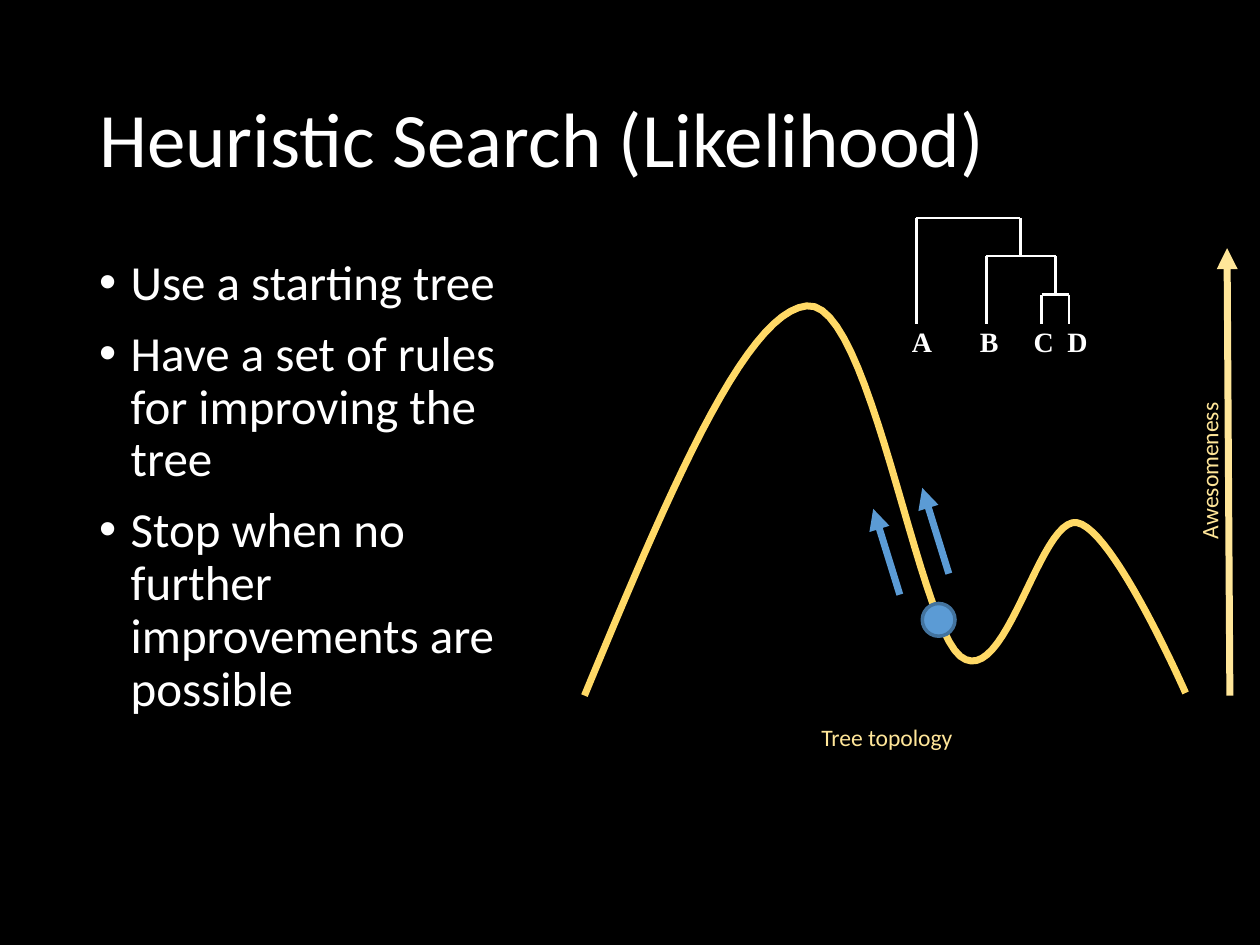
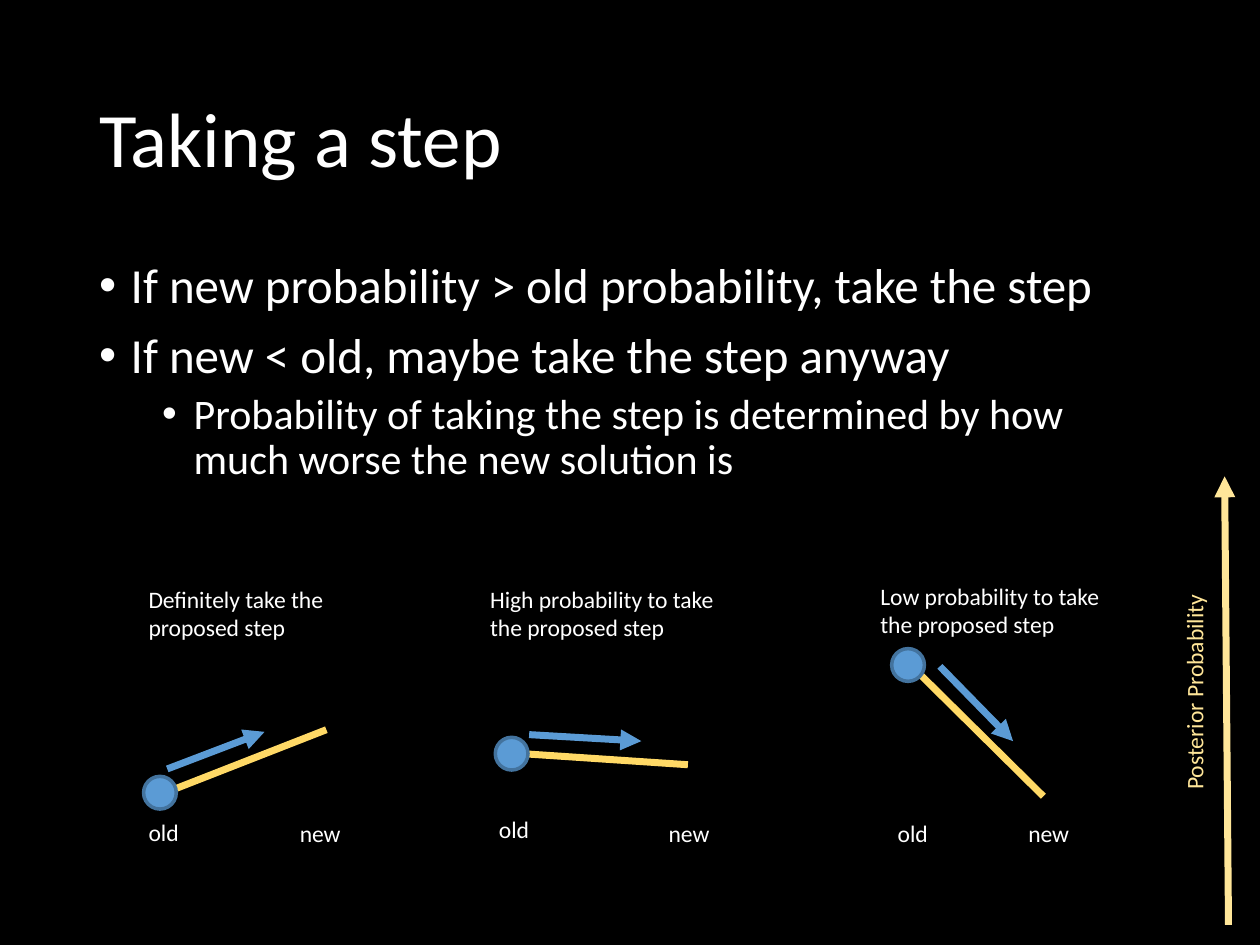
"""Build two slides on heuristic tree search and accepting a step."""
from lxml import etree
from pptx import Presentation
from pptx import util as u
from pptx.dml.color import RGBColor
from pptx.enum import shapes, text
from pptx.oxml import ns

Pt = u.Pt
BLACK = RGBColor(0x00, 0x00, 0x00)
WHITE = RGBColor(0xFF, 0xFF, 0xFF)
GOLD = RGBColor(0xFF, 0xD9, 0x66)
PALE_GOLD = RGBColor(0xFF, 0xE6, 0x99)
BLUE = RGBColor(0x5B, 0x9B, 0xD5)
DARK_BLUE = RGBColor(0x43, 0x73, 0x9E)

TITLE_AREA = (49.5, 29, 621, 104.5)
TITLE = {"name": "Calibri", "size": Pt(44)}
LABEL = {"name": "Calibri", "size": Pt(13.5)}
TIP = {"name": "Times New Roman", "size": Pt(16), "bold": True}
LEVELS = [
    {"size": 28, "before": 10, "indent": 18},
    {"size": 24, "before": 5, "indent": 54},
]
HANGING = 18
THICK, THIN = 4, 1.5
BALL_SIZE = 18.7
LABEL_HEIGHT = 24


def assign(target, values):
    for name, value in values.items():
        setattr(target, name, value)


def add_element(parent, tag, **attributes):
    return etree.SubElement(parent, ns.qn(tag), attributes)


def bezier(start, first, second, end, steps=24):
    for step in range(1, steps + 1):
        t = step / steps
        weights = ((1 - t) ** 3, 3 * t * (1 - t) ** 2, 3 * t * t * (1 - t), t ** 3)
        yield tuple(
            Pt(sum(w * value for w, value in zip(weights, axis)))
            for axis in zip(start, first, second, end)
        )


class Sketch:
    """Hold the deck style and draw elements on the current slide."""

    def __init__(self):
        self.deck = Presentation()
        assign(self.deck, {"slide_width": Pt(720), "slide_height": Pt(540)})
        fill = self.deck.slide_master.background.fill
        fill.solid()
        fill.fore_color.rgb = BLACK
        self.page = None

    def span(self, para, wording, look, color):
        span = para.add_run()
        span.text = wording
        assign(span.font, look)
        span.font.color.rgb = color

    def place(self, box, area):
        assign(box, dict(zip(("left", "top", "width", "height"), map(Pt, area))))

    def new_page(self, title):
        self.page = self.deck.slides.add_slide(self.deck.slide_layouts[1])
        box = self.page.shapes.title
        self.place(box, TITLE_AREA)
        assign(box.text_frame, {
            "vertical_anchor": text.MSO_ANCHOR.MIDDLE,
            "auto_size": text.MSO_AUTO_SIZE.NONE,
        })
        para = box.text_frame.paragraphs[0]
        assign(para, {"alignment": text.PP_ALIGN.LEFT, "line_spacing": 0.9})
        self.span(para, title, TITLE, WHITE)

    def bullets(self, area, items):
        box = self.page.placeholders[1]
        self.place(box, area)
        frame = box.text_frame
        frame.auto_size = text.MSO_AUTO_SIZE.NONE
        for index, (level, wording) in enumerate(items):
            para = frame.add_paragraph() if index else frame.paragraphs[0]
            style = LEVELS[level]
            assign(para, {
                "level": level,
                "line_spacing": 0.9,
                "space_before": Pt(style["before"] if index else 0),
            })
            properties = para._p.get_or_add_pPr()
            properties.set("marL", str(Pt(style["indent"])))
            properties.set("indent", str(-Pt(HANGING)))
            add_element(properties, "a:buFont", typeface="Arial")
            add_element(properties, "a:buChar", char="•")
            self.span(para, wording, {"name": "Calibri", "size": Pt(style["size"])}, WHITE)

    def label(self, wording, area, color=WHITE, look=LABEL, align=text.PP_ALIGN.LEFT,
              rotation=0, tabs=()):
        box = self.page.shapes.add_textbox(*map(Pt, area))
        box.rotation = rotation
        box.text_frame.word_wrap = not rotation
        para = box.text_frame.paragraphs[0]
        para.alignment = align
        if tabs:
            stops = add_element(para._p.get_or_add_pPr(), "a:tabLst")
            for stop in tabs:
                add_element(stops, "a:tab", pos=str(Pt(stop)), algn="l")
        self.span(para, wording, look, color)

    def line(self, ends, color, width=THICK, arrow=False):
        line = self.page.shapes.add_connector(
            shapes.MSO_CONNECTOR.STRAIGHT, *map(Pt, ends))
        line.line.color.rgb = color
        line.line.width = Pt(width)
        if arrow:
            add_element(line.line._get_or_add_ln(), "a:tailEnd", type="triangle")
        add_element(line._element.spPr, "a:effectLst")

    def ball(self, x, y):
        ball = self.page.shapes.add_shape(
            shapes.MSO_SHAPE.OVAL, Pt(x - BALL_SIZE / 2), Pt(y - BALL_SIZE / 2),
            Pt(BALL_SIZE), Pt(BALL_SIZE))
        ball.shadow.inherit = False
        ball.fill.solid()
        ball.fill.fore_color.rgb = BLUE
        ball.line.color.rgb = DARK_BLUE
        ball.line.width = Pt(2)

    def curve(self, start, pieces):
        builder = self.page.shapes.build_freeform(*map(Pt, start))
        for first, second, end in pieces:
            builder.add_line_segments(bezier(start, first, second, end), close=False)
            start = end
        curve = builder.convert_to_shape()
        curve.shadow.inherit = False
        curve.fill.background()
        curve.line.color.rgb = GOLD
        curve.line.width = Pt(THICK)

    def axis(self, ends, wording, area):
        self.line(ends, PALE_GOLD, arrow=True)
        self.label(wording, area, PALE_GOLD, rotation=270)

    def clade(self, left, right, top, left_end, right_end):
        for ends in ((left, top, left, left_end), (left, top, right, top),
                     (right, top, right, right_end)):
            self.line(ends, WHITE, THIN)


def draw_search(sketch):
    sketch.new_page("Heuristic Search (Likelihood)")
    sketch.bullets((49.5, 144, 258.5, 343), [
        (0, "Use a starting tree"),
        (0, "Have a set of rules for improving the tree"),
        (0, "Stop when no further improvements are possible"),
    ])
    sketch.curve((334, 397.5), [
        ((379.5, 288), (425, 178.5), (461, 174.8)),
        ((497, 170.6), (523.5, 354), (548.7, 375)),
        ((574.5, 395.5), (594, 295), (615.5, 298.7)),
        ((636.5, 302.5), (677.5, 396), (677.5, 396)),
    ])
    sketch.ball(536.4, 354.2)
    for ends in ((542.2, 327.8, 527, 278.8), (514.2, 339.8, 499, 290.8)):
        sketch.line(ends, BLUE, arrow=True)
    sketch.axis((702.8, 397.5, 701.2, 141.8), "Awesomeness", (644.4, 256.3, 93.6, LABEL_HEIGHT))
    tips = 185
    for clade in ((523.7, 583, 124.5, tips, 146.3), (563.7, 603.3, 146.3, tips, 168.3),
                  (595.2, 610.8, 168.3, tips, tips)):
        sketch.clade(*clade)
    sketch.label("\t".join("ABCD"), (514, 182.2, 119.5, 26.6), look=TIP, tabs=(38.9, 69.6, 88.9))
    sketch.label("Tree topology", (389.5, 409.7, 234.7, LABEL_HEIGHT), PALE_GOLD,
                 align=text.PP_ALIGN.CENTER)


def draw_step(sketch):
    sketch.new_page("Taking a step")
    sketch.bullets((49.5, 145.5, 621, 343), [
        (0, "If new probability > old probability, take the step"),
        (0, "If new < old, maybe take the step anyway"),
        (1, "Probability of taking the step is determined by how much worse the new solution is"),
    ])
    sketch.axis((702, 528.5, 699.8, 272.2), "Posterior Probability",
                (618.5, 382.3, 128.2, LABEL_HEIGHT))
    scenarios = [
        ("Definitely take the proposed step", (77.8, 330.5, 124), (89.3, 455, 186.5, 417),
         (91.4, 453), (95.6, 439.4, 151.2, 418.2), (77.8, 463.7), (164.2, 464.4)),
        ("High probability to take the proposed step", (273, 330.5, 150.5),
         (297.4, 430.6, 393.1, 437), (292.4, 430.7), (302.4, 419.8, 366.5, 423.5),
         (278, 462.2), (375, 464.4)),
        ("Low probability to take the proposed step", (496, 329, 149), (519, 378.7, 596.2, 455),
         (518.9, 380), (537.1, 380.8, 578.9, 423.5), (505.9, 464.4), (580.5, 464.4)),
    ]
    for caption, caption_area, slope, ball, step, old, new in scenarios:
        sketch.line(slope, GOLD)
        sketch.label("old", (*old, 90, LABEL_HEIGHT))
        sketch.label("new", (*new, 90, LABEL_HEIGHT))
        sketch.label(caption, (*caption_area, 40.3))
        sketch.ball(*ball)
        sketch.line(step, BLUE, arrow=True)


def main():
    sketch = Sketch()
    draw_search(sketch)
    draw_step(sketch)
    sketch.deck.save("out.pptx")


if __name__ == "__main__":
    main()
